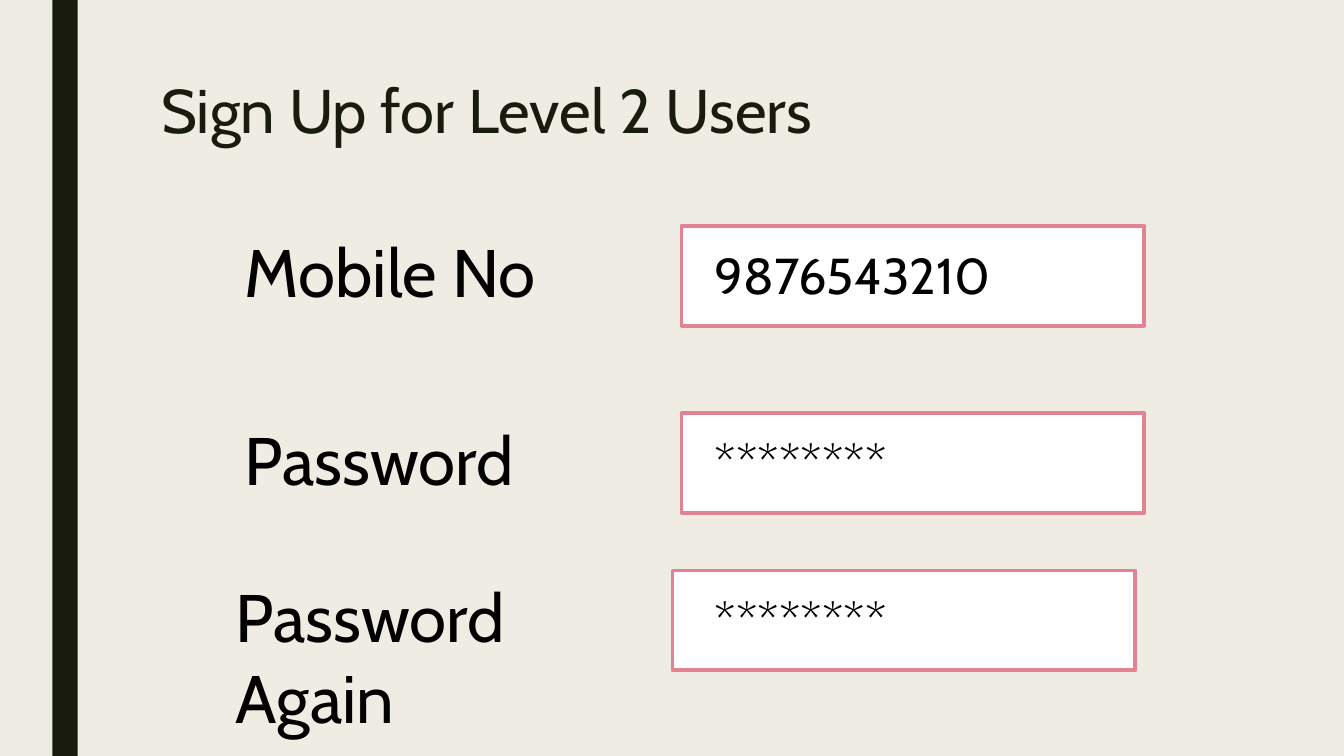
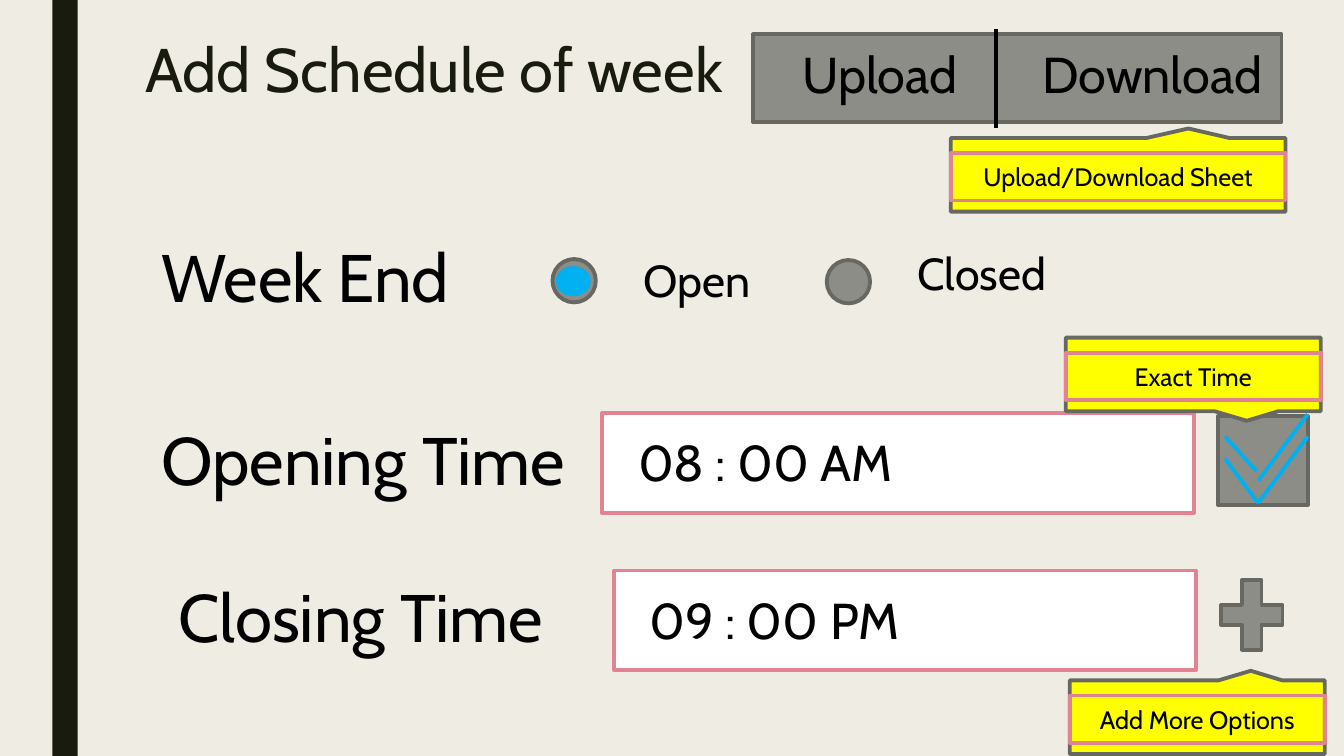
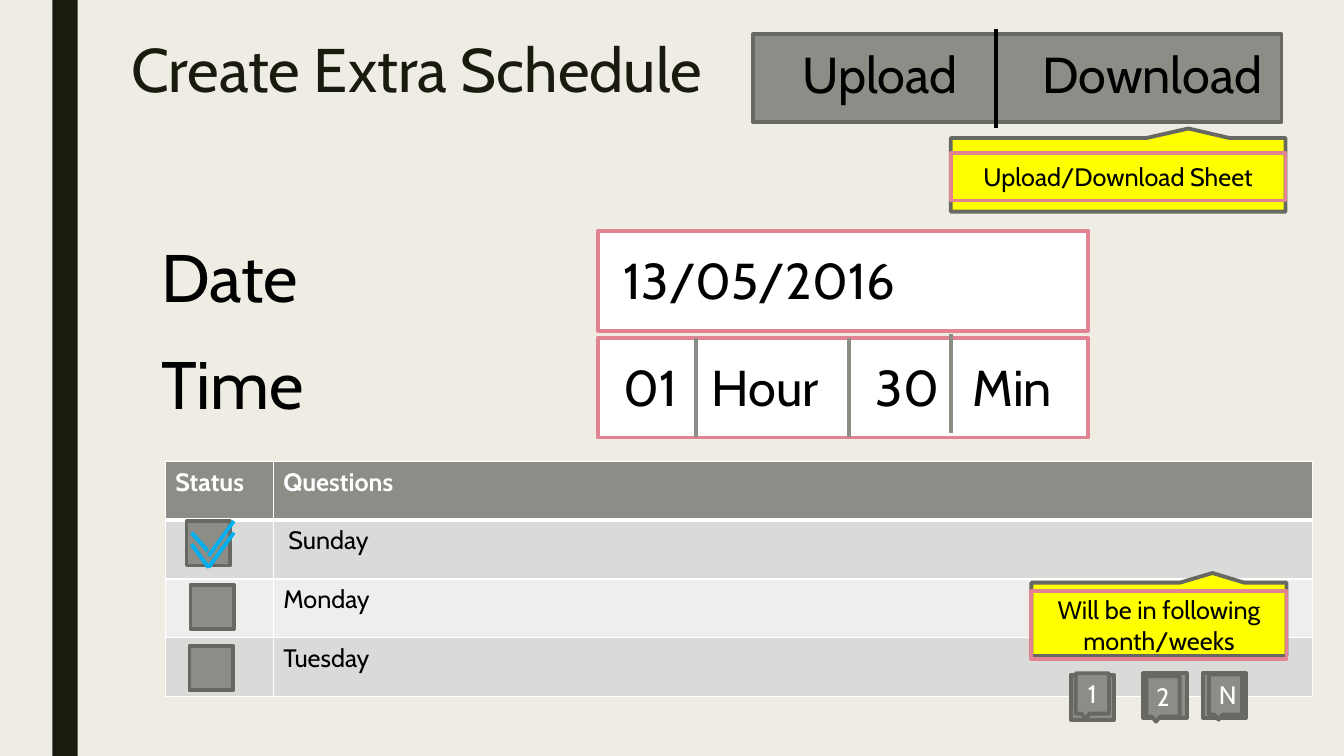
from pptx import Presentation
from pptx.dml.color import RGBColor
from pptx.enum.shapes import MSO_CONNECTOR, MSO_SHAPE
from pptx.enum.text import MSO_ANCHOR, MSO_AUTO_SIZE, PP_ALIGN
from pptx.oxml.ns import qn
from pptx.util import Inches, Pt
from lxml.etree import SubElement

FONT = "Cabin"
LINE_WIDTH = 2.75
CREAM = RGBColor(0xEF, 0xED, 0xE3)
DARK = RGBColor(0x19, 0x1B, 0x0E)
BLACK = RGBColor(0, 0, 0)
WHITE = RGBColor(0xFF, 0xFF, 0xFF)
PINK = RGBColor(0xE2, 0x83, 0x94)
GRAY = RGBColor(0x8C, 0x8D, 0x86)
EDGE = RGBColor(0x68, 0x68, 0x63)
BLUE = RGBColor(0x00, 0xB0, 0xF0)
YELLOW = RGBColor(0xFF, 0xFF, 0x00)
ROW_ODD = RGBColor(0xDA, 0xDB, 0xD9)
ROW_EVEN = RGBColor(0xEE, 0xEE, 0xED)

# Labels: text, left, top, width, height
SIGN_UP_LABELS = [("Mobile No", 2.33, 2.24, 3.56, 0.91),
                  ("Password", 2.33, 4.1, 3.56, 0.91),
                  ("Password Again", 2.24, 5.66, 3.56, 1.72)]
WEEK_LABELS = [("Week End", 1.5, 2.29, 3.56, 0.91),
               ("Opening Time", 1.5, 4.1, 4.39, 0.91),
               ("Closing Time", 1.67, 5.66, 4.13, 0.91)]
EXTRA_LABELS = [("Date", 1.5, 2.29, 3.56, 0.91),
                ("Time", 1.5, 3.35, 3.56, 0.91)]

# Fields: text, box left, top, box width, text left, text width, tab stops
SIGN_UP_FIELDS = [("9876543210", 6.76, 2.24, 4.59, 6.99, 4.1, ()),
                  ("********", 6.76, 4.1, 4.59, 6.99, 4.1, ()),
                  ("********", 6.67, 5.66, 4.59, 6.99, 4.1, ())]
WEEK_FIELDS = [("08 : 00 AM", 5.97, 4.1, 5.87, 6.23, 4.86, ()),
               ("09 : 00 PM", 6.09, 5.66, 5.77, 6.34, 4.86, ())]
EXTRA_FIELDS = [("13/05/2016", 5.93, 2.29, 4.86, 6.09, 6.63, ()),
                ("01\tHour\t30\tMin", 5.93, 3.35, 4.86, 6.09, 6.63,
                 (0.87, 2.5, 3.46))]
TIME_DIVIDERS = [(6.9, 3.35), (8.42, 3.35), (9.43, 3.31)]

# Radio buttons: text, circle left, circle top, text left, text top
RADIOS = [("Open", 5.48, 2.57, 6.28, 2.46),
          ("Closed", 8.2, 2.58, 9, 2.39)]

# Check mark strokes as fractions of its frame
CHECK_STROKES = [((0, 0.5), (0.4, 1)), ((0.4, 1), (1, 0.25)),
                 ((0.4, 0.75), (1, 0)), ((0, 0.25), (0.38, 0.64))]

DAY_ROWS = [("Status", "Questions"), ("", "Sunday"),
            ("", "Monday"), ("", "Tuesday")]
DAY_FILLS = [GRAY, ROW_ODD, ROW_EVEN, ROW_ODD]
DAY_BOXES = [(1.85, 5.17), (1.89, 5.8), (1.88, 6.41)]

# Month buttons: text, button left, button top, callout left, callout top
MONTHS = [("1", 10.62, 6.7, 10.67, 6.68),
          ("2", 11.34, 6.68, 11.37, 6.71),
          ("N", 11.93, 6.68, 11.99, 6.69)]


def inches(*lengths):
    """Turn plain numbers into lengths."""
    return [Inches(length) for length in lengths]


def write(frame, text, size, color=BLACK, bold=False):
    """Put one run of text in a frame and return its paragraph."""
    para = frame.paragraphs[0]
    span = para.add_run()
    span.text = text
    span.font.name = FONT
    span.font.size = Pt(size)
    span.font.bold = bold
    span.font.color.rgb = color
    return para


def add_shape(page, kind, place, fill=None, line=None, text="", color=BLACK):
    """Add a flat preset shape, with centred text if any."""
    shape = page.shapes.add_shape(kind, *inches(*place))
    shape.shadow.inherit = False
    if fill is None:
        shape.fill.background()
    else:
        shape.fill.solid()
        shape.fill.fore_color.rgb = fill
    if line is None:
        shape.line.fill.background()
    else:
        shape.line.color.rgb = line
        shape.line.width = Pt(LINE_WIDTH)
    if text:
        shape.text_frame.word_wrap = True
        shape.text_frame.vertical_anchor = MSO_ANCHOR.MIDDLE
        write(shape.text_frame, text, 18, color).alignment = PP_ALIGN.CENTER
    return shape


def add_text(page, text, place, size, tabs=()):
    """Add a wrapping text box with optional tab stops."""
    box = page.shapes.add_textbox(*inches(*place))
    box.text_frame.word_wrap = True
    box.text_frame.auto_size = MSO_AUTO_SIZE.SHAPE_TO_FIT_TEXT
    para = write(box.text_frame, text, size)
    if tabs:
        tab_list = SubElement(para._p.get_or_add_pPr(), qn("a:tabLst"))
        for stop in tabs:
            SubElement(tab_list, qn("a:tab"), pos=str(Inches(stop)), algn="l")


def add_line(page, start, end, color):
    """Add a straight line without shadow."""
    line = page.shapes.add_connector(MSO_CONNECTOR.STRAIGHT,
                                     *inches(*start, *end))
    line.line.color.rgb = color
    line.line.width = Pt(LINE_WIDTH)
    SubElement(line._element.spPr, qn("a:effectLst"))


def add_labels(page, labels):
    """Add the large form labels."""
    for text, *place in labels:
        add_text(page, text, place, 48)


def add_fields(page, fields):
    """Add white input fields with their values."""
    for text, left, top, width, text_left, text_width, tabs in fields:
        add_shape(page, MSO_SHAPE.RECTANGLE, (left, top, width, 0.99),
                  WHITE, PINK)
        add_text(page, text, (text_left, top + 0.13, text_width, 0.71),
                 36, tabs)


def add_check(page, left, top, width, height):
    """Add a double blue check mark in the given frame."""
    for stroke in CHECK_STROKES:
        start, end = [(left + x * width, top + y * height) for x, y in stroke]
        add_line(page, start, end, BLUE)


def add_hint(page, text, left, top, width, points_up=True,
             inset=0.15, height=0.47):
    """Add a yellow callout with a pink framed caption."""
    callout = add_shape(page, MSO_SHAPE.RECTANGULAR_CALLOUT,
                        (left, top, width, 0.73), YELLOW, EDGE)
    callout.adjustments[0] = 0.21
    callout.adjustments[1] = -0.63 if points_up else 0.63
    add_shape(page, MSO_SHAPE.RECTANGLE, (left, top + inset, width, height),
              None, PINK, text)


def add_transfer_bar(page):
    """Add the upload and download bar with its hint."""
    add_shape(page, MSO_SHAPE.RECTANGLE, (7.47, 0.34, 5.24, 0.87), GRAY, EDGE)
    add_text(page, "Upload\tDownload", (7.86, 0.38, 5.4, 0.71), 36, (2.38,))
    add_line(page, (9.88, 0.29), (9.88, 1.27), BLACK)
    add_hint(page, "Upload/Download Sheet", 9.43, 1.37, 3.32)


def underline_cell(cell):
    """Give a cell a thick white bottom border."""
    properties = cell._tc.get_or_add_tcPr()
    border = SubElement(properties, qn("a:lnB"), w=str(Pt(3)))
    fill = SubElement(border, qn("a:solidFill"))
    SubElement(fill, qn("a:srgbClr"), val=str(WHITE))
    properties.insert(0, border)


def add_day_table(page):
    """Add the table of days."""
    table = page.shapes.add_table(len(DAY_ROWS), 2,
                                  *inches(1.64, 4.58, 11.38, 2.33)).table
    for column, width in zip(table.columns, (1.07, 10.31)):
        column.width = Inches(width)
    for row, (texts, fill) in enumerate(zip(DAY_ROWS, DAY_FILLS)):
        header = row == 0
        for column, text in enumerate(texts):
            cell = table.cell(row, column)
            cell.fill.solid()
            cell.fill.fore_color.rgb = fill
            if text:
                write(cell.text_frame, text, 18,
                      WHITE if header else BLACK, header)
            if header:
                underline_cell(cell)
    table.cell(1, 1).margin_left = Inches(0.15)


def add_page(deck, title, left, top):
    """Add a title-only page with the shared title style."""
    page = deck.slides.add_slide(deck.slide_layouts[5])
    box = page.shapes.title
    box.left, box.top, box.width, box.height = inches(left, top, 10.5, 1.62)
    frame = box.text_frame
    frame.word_wrap = True
    frame.auto_size = MSO_AUTO_SIZE.NONE
    frame.vertical_anchor = MSO_ANCHOR.TOP
    para = write(frame, title, 44, DARK)
    para.alignment = PP_ALIGN.LEFT
    para.line_spacing = 0.89
    return page


def style_master(deck, page):
    """Give the master its background and its dark side band."""
    master = deck.slide_master
    master.background.fill.solid()
    master.background.fill.fore_color.rgb = CREAM
    band = add_shape(page, MSO_SHAPE.RECTANGLE, (0.52, 0, 0.25, 7.5), DARK)
    master.shapes._spTree.insert(2, band._element)


def build_sign_up(deck):
    """Build the sign-up form."""
    page = add_page(deck, "Sign Up for Level 2 Users", 1.5, 0.75)
    style_master(deck, page)
    add_labels(page, SIGN_UP_LABELS)
    add_fields(page, SIGN_UP_FIELDS)


def build_week(deck):
    """Build the weekly schedule form."""
    page = add_page(deck, "Add Schedule of week", 1.34, 0.35)
    add_labels(page, WEEK_LABELS)
    add_fields(page, WEEK_FIELDS)
    add_shape(page, MSO_SHAPE.MATH_PLUS, (12, 5.63, 0.83, 0.94), GRAY, EDGE)
    add_hint(page, "Add More Options", 10.61, 6.75, 2.53)
    add_shape(page, MSO_SHAPE.RECTANGLE, (12.08, 4.13, 0.89, 0.88), GRAY, EDGE)
    add_check(page, 12.15, 4.11, 0.82, 0.88)
    add_hint(page, "Exact Time", 10.57, 3.35, 2.53, points_up=False)
    add_transfer_bar(page)
    for text, left, top, text_left, text_top in RADIOS:
        add_shape(page, MSO_SHAPE.OVAL, (left, top, 0.43, 0.43), GRAY, EDGE)
        add_text(page, text, (text_left, text_top, 3.61, 0.64), 32)
    add_shape(page, MSO_SHAPE.OVAL, (5.53, 2.66, 0.31, 0.26), BLUE, BLUE)


def build_extra(deck):
    """Build the extra schedule form."""
    page = add_page(deck, "Create Extra Schedule", 1.2, 0.35)
    add_labels(page, EXTRA_LABELS)
    add_fields(page, EXTRA_FIELDS)
    for left, top in TIME_DIVIDERS:
        add_line(page, (left, top), (left, top + 0.99), GRAY)
    add_day_table(page)
    for left, top in DAY_BOXES:
        add_shape(page, MSO_SHAPE.RECTANGLE, (left, top, 0.43, 0.44),
                  GRAY, EDGE)
    add_check(page, 1.9, 5.17, 0.42, 0.46)
    add_hint(page, "Will be in following month/weeks", 10.23, 5.78, 2.53,
             inset=0.08, height=0.68)
    for text, left, top, callout_left, callout_top in MONTHS:
        add_shape(page, MSO_SHAPE.RECTANGLE, (left, top, 0.43, 0.44),
                  GRAY, EDGE)
        add_shape(page, MSO_SHAPE.RECTANGULAR_CALLOUT,
                  (callout_left, callout_top, 0.33, 0.4),
                  GRAY, EDGE, text, WHITE)
    add_transfer_bar(page)


deck = Presentation()
deck.slide_width, deck.slide_height = inches(13.33, 7.5)
build_sign_up(deck)
build_week(deck)
build_extra(deck)
deck.save("out.pptx")
